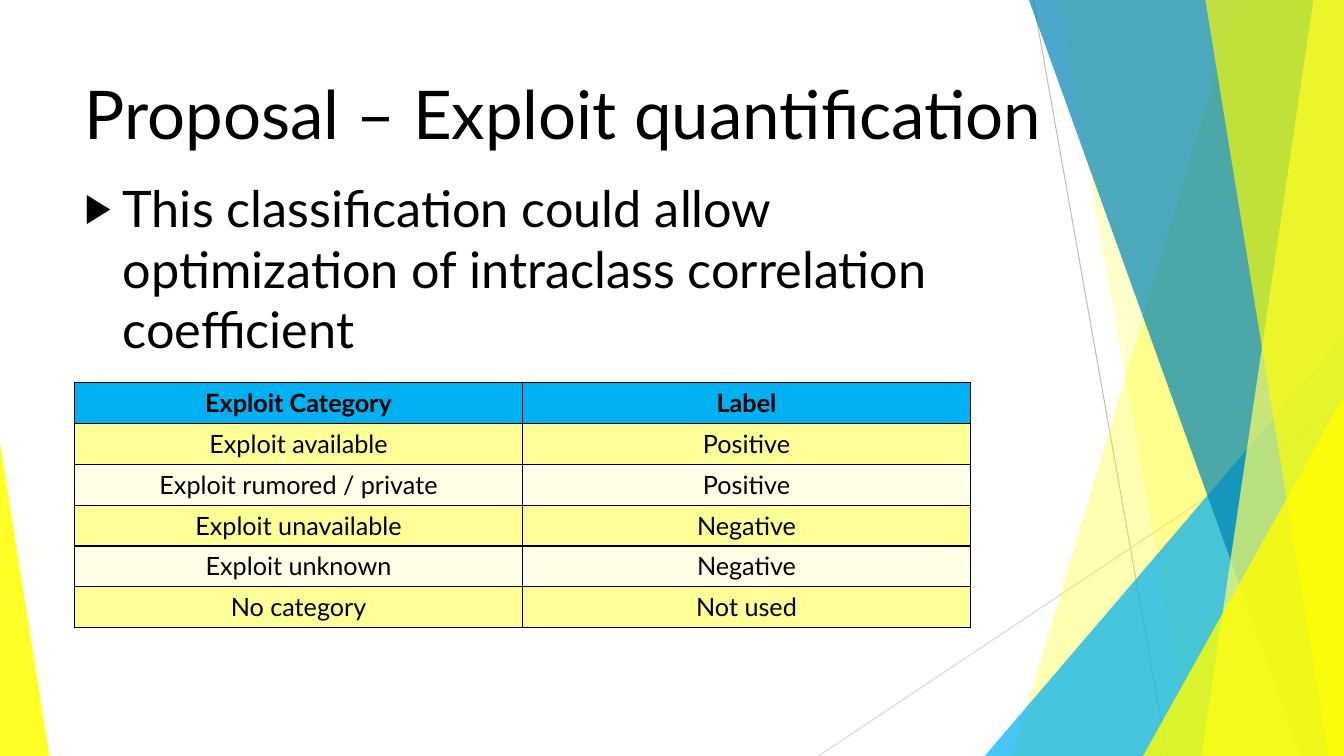
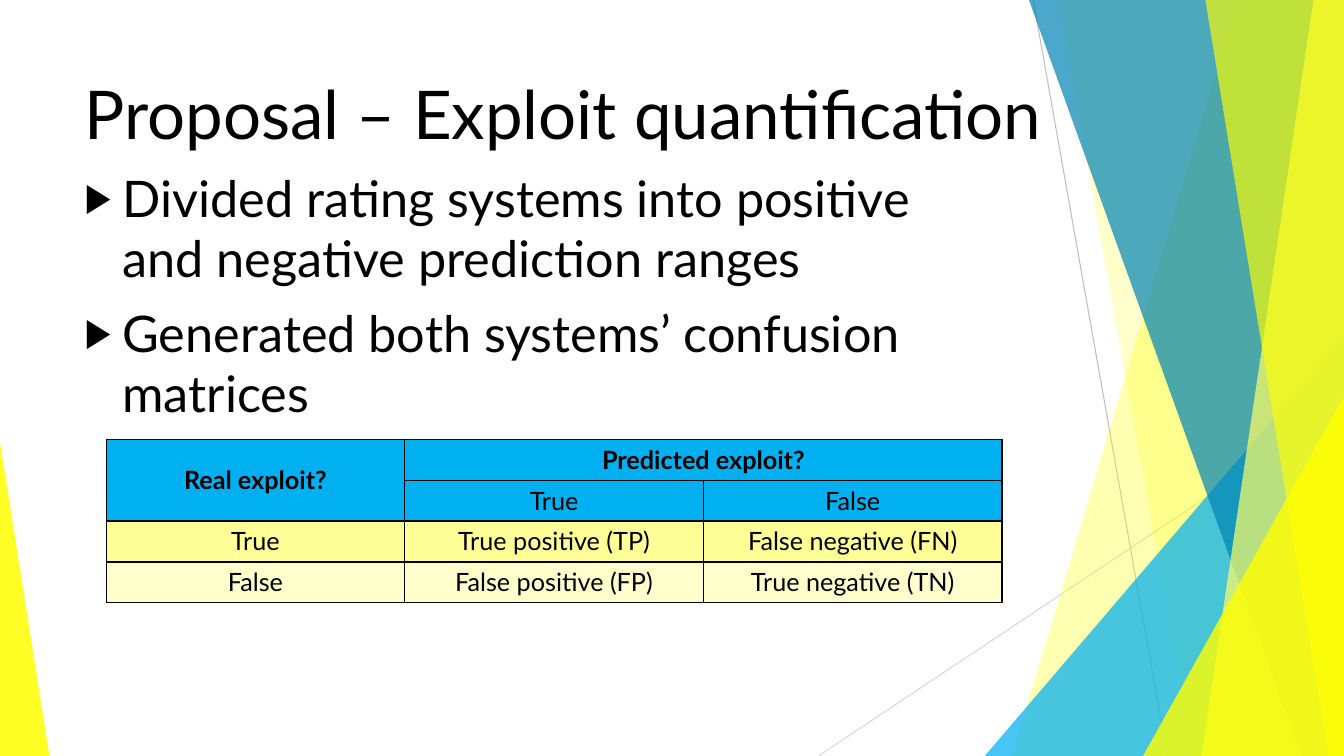
from lxml import etree
from pptx import Presentation
from pptx.dml.color import RGBColor
from pptx.enum.shapes import MSO_CONNECTOR, MSO_SHAPE
from pptx.enum.text import MSO_ANCHOR, MSO_AUTO_SIZE, PP_ALIGN
from pptx.oxml.ns import qn
from pptx.util import Pt

STRAIGHT = MSO_CONNECTOR.STRAIGHT
TRIANGLE = MSO_SHAPE.ISOSCELES_TRIANGLE
TOP, MIDDLE, BOTTOM = MSO_ANCHOR.TOP, MSO_ANCHOR.MIDDLE, MSO_ANCHOR.BOTTOM
LEFT, CENTER = PP_ALIGN.LEFT, PP_ALIGN.CENTER

W, H = 960, 540
MARGIN = 53.3
TABLE_W, ROW_H = 640, 29.2
FONT = "Lato"
TITLE = "Proposal – Exploit quantification"
C = {
    "text": "000000", "yellow": "FFFF00", "soft_yellow": "FFFF66",
    "cyan": "00B0F0", "blue": "0084B4", "grey": "BFBFBF", "pale_grey": "D9D9D9",
    "row": "FFFF97", "row_pale": "FFFFE7", "row_cream": "FFFFCC",
}


def rgb(name):
    """Return the palette colour with this name."""
    return RGBColor.from_string(C[name])


def sub(parent, tag, **attrs):
    """Append a DrawingML child element and return it."""
    el = etree.SubElement(parent, qn(tag))
    for key, value in attrs.items():
        el.set(key, str(value))
    return el


def write(p, text, size=18, bold=False, color="text", align=LEFT, before=0, bullet=False):
    """Write formatted text into a paragraph."""
    p.alignment = align
    p.space_before = Pt(before)
    r = p.add_run()
    r.text = text
    r.font.name, r.font.size, r.font.bold = FONT, Pt(size), bold
    r.font.color.rgb = rgb(color)
    if bullet:
        pPr = p._p.get_or_add_pPr()
        pPr.set("marL", str(Pt(27)))
        pPr.set("indent", str(Pt(-27)))
        sub(sub(pPr, "a:buClr"), "a:srgbClr", val=C[color])
        sub(pPr, "a:buSzPct", val=80000)
        sub(pPr, "a:buChar", char="▶")


def paint(sp, color, opacity):
    """Give a shape a translucent fill without outline or shadow."""
    sp.shadow.inherit = False
    sp.fill.solid()
    sp.fill.fore_color.rgb = rgb(color)
    sp.line.fill.background()
    fill = sp.element.spPr.find(qn("a:solidFill"))
    sub(fill[0], "a:alpha", val=opacity * 1000)


def hairline(s, x1, y1, x2, y2, color):
    """Draw a thin background line."""
    line = s.shapes.add_connector(STRAIGHT, Pt(x1), Pt(y1), Pt(x2), Pt(y2))
    line.line.color.rgb = rgb(color)
    line.line.width = Pt(0.75)
    sub(line.element.spPr, "a:effectLst")


def band(s, top_x, foot_x, color, opacity):
    """Fill the region from a slanted edge to the right side of the slide."""
    outline = s.shapes.build_freeform(Pt(top_x), 0)
    corners = [(W, 0), (W, H), (foot_x, H)]
    outline.add_line_segments([(Pt(x), Pt(y)) for x, y in corners], close=True)
    paint(outline.convert_to_shape(), color, opacity)


def wedge(s, x, w, h, apex, color, opacity):
    """Stand a right triangle on the bottom edge of the slide."""
    sp = s.shapes.add_shape(TRIANGLE, Pt(x), Pt(H - h), Pt(w), Pt(h))
    sp.adjustments[0] = apex
    paint(sp, color, opacity)


def decorate_layout(s, layout):
    """Draw the shared background and move it to the layout."""
    for ph in list(layout.placeholders)[2:]:
        ph.element.getparent().remove(ph.element)
    own = len(s.shapes)
    hairline(s, 738, 0, 833.8, H, "grey")
    hairline(s, W, 290, 584.6, H, "pale_grey")
    band(s, 884, 723, "yellow", 30)
    band(s, 756, 852, "yellow", 20)
    wedge(s, 703.4, 256.6, 300, 1, "cyan", 72)
    band(s, 735, 929.5, "blue", 70)
    band(s, 938.2, 858.2, "soft_yellow", 70)
    band(s, 861, 949, "yellow", 65)
    wedge(s, 816.5, 143.5, 257, 1, "yellow", 80)
    wedge(s, 0, 35.3, 224, 0, "yellow", 85)
    for i, sp in enumerate(list(s.shapes)[own:]):
        layout.shapes.element.insert(2 + i, sp.element)


def place(ph, x, y, w, h, anchor):
    """Move a placeholder to a box and return its text frame."""
    ph.left, ph.top, ph.width, ph.height = Pt(x), Pt(y), Pt(w), Pt(h)
    tf = ph.text_frame
    tf.word_wrap = True
    tf.auto_size = MSO_AUTO_SIZE.NONE
    tf.vertical_anchor = anchor
    return tf


def add_content(s, points, h, anchor):
    """Fill the title and the bulleted list of a slide."""
    tf = place(s.shapes.title, MARGIN, 48.2, 762.5, 66.2, TOP)
    write(tf.paragraphs[0], TITLE, size=48)
    tf = place(s.placeholders[1], MARGIN, 107.3, 630.7, h, anchor)
    for i, text in enumerate(points):
        p = tf.add_paragraph() if i else tf.paragraphs[0]
        write(p, text, size=36, before=10, bullet=True)


def style_cell(cell, color):
    """Fill a cell and give it thin black borders."""
    cell.fill.solid()
    cell.fill.fore_color.rgb = rgb(color)
    tcPr = cell._tc.get_or_add_tcPr()
    for i, side in enumerate(("a:lnL", "a:lnR", "a:lnT", "a:lnB")):
        ln = sub(tcPr, side, w=Pt(1))
        sub(sub(ln, "a:solidFill"), "a:srgbClr", val=C["text"])
        tcPr.insert(i, ln)


def add_grid(s, x, y, rows, fills, merges=()):
    """Add a centred table with a bold first row and merged spans."""
    n = len(rows[0])
    frame = s.shapes.add_table(len(rows), n, Pt(x), Pt(y), Pt(TABLE_W), Pt(ROW_H * len(rows)))
    table = frame.table
    table.first_row = table.horz_banding = False
    for col in table.columns:
        col.width = Pt(TABLE_W / n)
    for i, (texts, color) in enumerate(zip(rows, fills)):
        table.rows[i].height = Pt(ROW_H)
        for j, text in enumerate(texts):
            cell = table.cell(i, j)
            style_cell(cell, color)
            if text:
                write(cell.text_frame.paragraphs[0], text, bold=i == 0, align=CENTER)
    for start, end in merges:
        table.cell(*start).merge(table.cell(*end))
        table.cell(*start).vertical_anchor = MIDDLE


def category_slide(s):
    """Build the slide that maps exploit categories to labels."""
    points = ["This classification could allow optimization of intraclass correlation coefficient"]
    add_content(s, points, 152.6, BOTTOM)
    rows = [
        ("Exploit Category", "Label"),
        ("Exploit available", "Positive"),
        ("Exploit rumored / private", "Positive"),
        ("Exploit unavailable", "Negative"),
        ("Exploit unknown", "Negative"),
        ("No category", "Not used"),
    ]
    fills = ["cyan"] + ["row", "row_pale"] * 2 + ["row"]
    add_grid(s, MARGIN, 273.2, rows, fills)


def matrix_slide(s):
    """Build the slide with the confusion matrix."""
    points = [
        "Divided rating systems into positive and negative prediction ranges",
        "Generated both systems’ confusion matrices",
    ]
    add_content(s, points, 206.6, MIDDLE)
    rows = [
        ("Real exploit?", "Predicted exploit?", ""),
        ("", "True", "False"),
        ("True", "True positive (TP)", "False negative (FN)"),
        ("False", "False positive (FP)", "True negative (TN)"),
    ]
    fills = ["cyan", "cyan", "row", "row_cream"]
    merges = [((0, 0), (1, 0)), ((0, 1), (0, 2))]
    add_grid(s, 75.8, 313.8, rows, fills, merges)


def main():
    """Build and save the presentation."""
    prs = Presentation()
    prs.slide_width, prs.slide_height = Pt(W), Pt(H)
    layout = prs.slide_layouts[1]
    first, second = [prs.slides.add_slide(layout) for _ in range(2)]
    decorate_layout(first, layout)
    category_slide(first)
    matrix_slide(second)
    prs.save("out.pptx")


if __name__ == "__main__":
    main()
